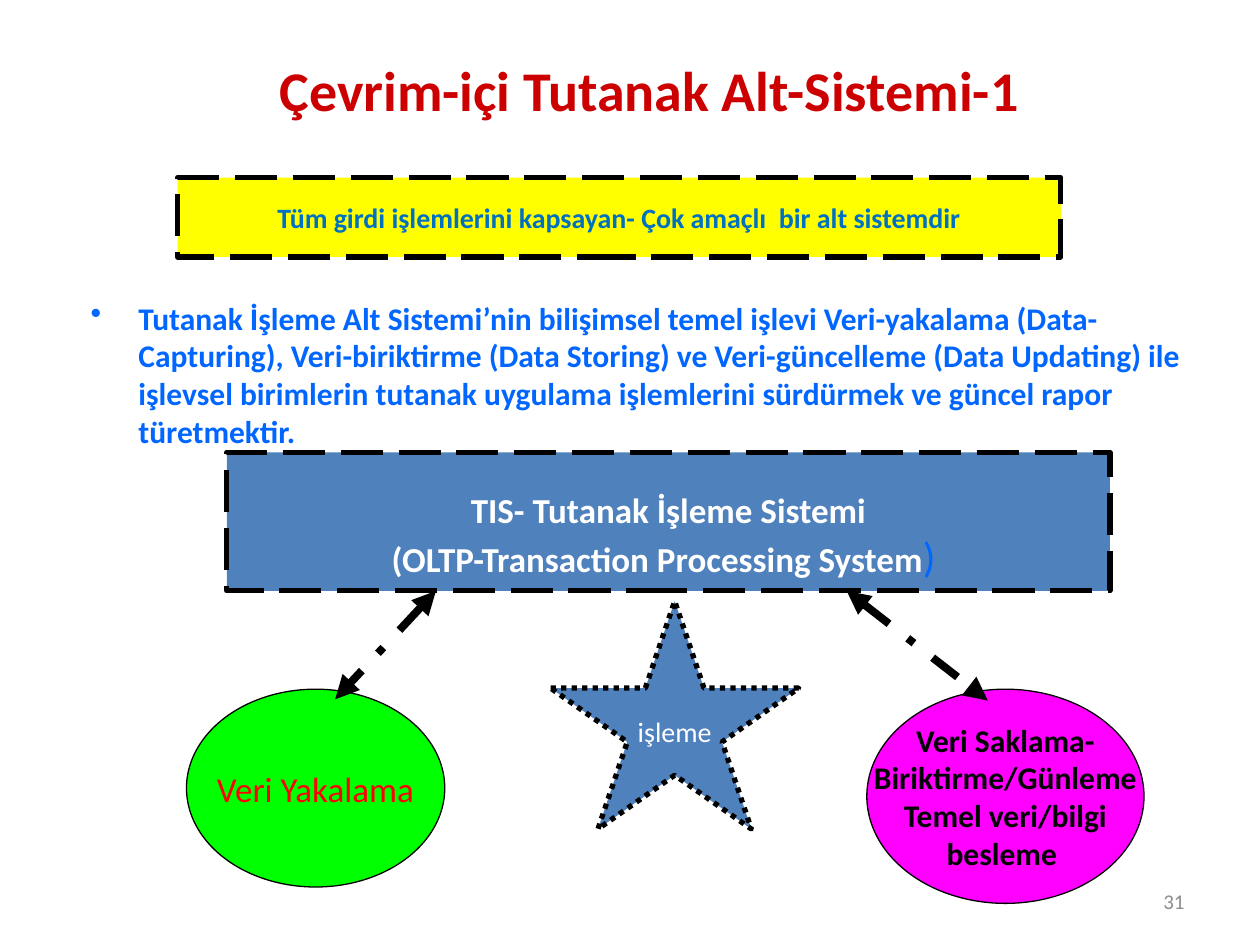
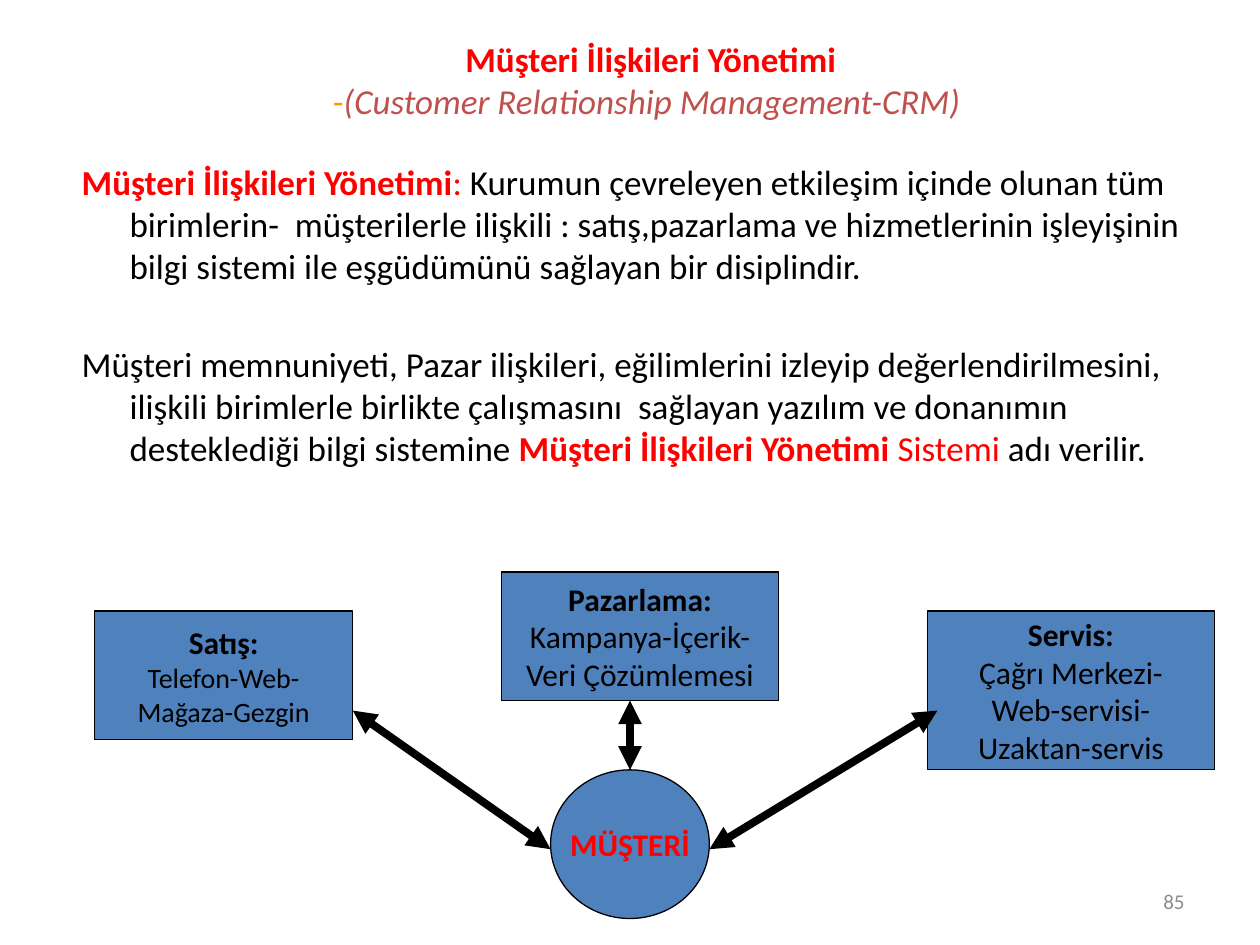
from dataclasses import dataclass

from pptx import Presentation
from pptx.dml.color import RGBColor
from pptx.enum.dml import MSO_LINE
from pptx.enum.shapes import MSO_CONNECTOR, MSO_SHAPE
from pptx.enum.text import MSO_ANCHOR, PP_ALIGN
from pptx.oxml.ns import qn
from pptx.util import Inches, Pt

COLUMNS, ROWS = 100, 75
CELL = Inches(0.1)
FONT = "Calibri"
BLACK, WHITE, RED, BLUE = "000000", "FFFFFF", "FF0000", "4F81BD"
BRIGHT_BLUE = "0066FF"
HANGING = Inches(0.38)


@dataclass
class Box:
    """An area of the slide, in grid columns and rows."""
    left: float
    top: float
    width: float
    height: float

    def inner(self, left, top, width, height):
        return Box(self.left + left, self.top + top, width, height)

    def point(self, column, row):
        return cells(self.left + column, self.top + row)

    def lengths(self):
        return cells(self.left, self.top, self.width, self.height)


def cells(*counts):
    return [round(count * CELL) for count in counts]


def color(hex_string):
    return RGBColor.from_string(hex_string)


def set_bullet(para, bullet, hanging):
    properties = para._p.get_or_add_pPr()
    properties.set("marL", str(hanging))
    properties.set("indent", str(-hanging))
    if bullet:
        mark = properties.makeelement(qn("a:buChar"), {"char": bullet})
    else:
        mark = properties.makeelement(qn("a:buNone"), {})
    properties.append(mark)


def write(shape, paras, align=PP_ALIGN.CENTER, anchor=MSO_ANCHOR.MIDDLE, wrap=True,
          bullet=None, hanging=0, gap=0, inset_top=None, **style):
    """Each paragraph is a string or a list of (text, style changes)."""
    frame = shape.text_frame
    frame.word_wrap = wrap
    frame.vertical_anchor = anchor
    if inset_top is not None:
        frame.margin_top = Inches(inset_top)
    for index, spans in enumerate(paras):
        para = frame.paragraphs[0] if index == 0 else frame.add_paragraph()
        para.alignment = align
        if index and gap:
            para.space_before = Pt(gap)
        if hanging:
            set_bullet(para, bullet, hanging)
        for text, changes in [(spans, {})] if isinstance(spans, str) else spans:
            add_span(para, text, **{**style, **changes})


def add_span(para, text, size=18, ink=BLACK, bold=False, italic=False):
    span = para.add_run()
    span.text = text
    font = span.font
    font.name, font.size = FONT, Pt(size)
    font.bold, font.italic = bold, italic
    font.color.rgb = color(ink)


def add_text(page, box, paras, **style):
    write(page.shapes.add_textbox(*box.lengths()), paras, **style)


def add_figure(page, box, paras, kind=MSO_SHAPE.RECTANGLE, fill=BLUE, line=0.75,
               dash=None, **style):
    figure = page.shapes.add_shape(kind, *box.lengths())
    figure.shadow.inherit = False
    figure.fill.solid()
    figure.fill.fore_color.rgb = color(fill)
    figure.line.color.rgb = color(BLACK)
    figure.line.width = Pt(line)
    if dash:
        figure.line.dash_style = dash
    write(figure, paras, wrap=False, **style)
    return figure


def add_arrow(page, start, end, dash=None):
    """A thick line with a head at both ends."""
    arrow = page.shapes.add_connector(MSO_CONNECTOR.STRAIGHT, *start, *end)
    arrow.line.color.rgb = color(BLACK)
    arrow.line.width = Pt(4.5)
    if dash:
        arrow.line.dash_style = dash
    properties = arrow._element.spPr
    outline = properties.find(qn("a:ln"))
    for tag in ("a:headEnd", "a:tailEnd"):
        outline.append(outline.makeelement(qn(tag), {"type": "triangle"}))
    properties.append(properties.makeelement(qn("a:effectLst"), {}))
    return arrow


def add_page(deck, number):
    page = deck.slides.add_slide(deck.slide_layouts[6])
    add_text(page, Box(71.7, 69.5, 23.3, 4), [number],
             align=PP_ALIGN.RIGHT, size=12, ink="8C8C8C")
    return page


def add_body(page, box, paras, **style):
    add_text(page, box, paras, align=PP_ALIGN.LEFT, anchor=MSO_ANCHOR.TOP,
             hanging=HANGING, inset_top=0.1, **style)


def draw_transaction_system(page, box):
    add_figure(page, box.inner(3.2, 0, 70.1, 11), [
        "TIS- Tutanak İşleme Sistemi",
        [("(OLTP-Transaction Processing System", {}),
         (") ", {"size": 24, "ink": BRIGHT_BLUE, "bold": False})],
    ], line=3, dash=MSO_LINE.LONG_DASH, inset_top=0.25, size=20, ink=WHITE, bold=True)
    add_figure(page, box.inner(0, 18.8, 20.5, 15.7), ["Veri Yakalama"],
               kind=MSO_SHAPE.OVAL, fill="00FF00", size=20, ink=RED)
    add_figure(page, box.inner(54, 18.8, 22, 17),
               ["Veri Saklama-", "Biriktirme/Günleme", "Temel veri/bilgi", "besleme "],
               kind=MSO_SHAPE.OVAL, fill="FF00FF", bold=True)
    for start, end in (((19.8, 11), (11.8, 19.6)), ((52.4, 11), (63.6, 19.7))):
        add_arrow(page, box.point(*start), box.point(*end), dash=MSO_LINE.DASH_DOT)
    add_figure(page, box.inner(28.9, 11.8, 19.7, 18.1), ["işleme"],
               kind=MSO_SHAPE.STAR_5_POINT, line=3, dash=MSO_LINE.ROUND_DOT,
               size=16, ink=WHITE)


def draw_customer_links(page, box):
    customer = add_figure(page, box.inner(36.2, 15.7, 12.6, 11.8), ["MÜŞTERİ"],
                          kind=MSO_SHAPE.OVAL, ink=RED, bold=True)
    departments = (
        ((0, 3.1, 20.5, 10.2), 16, "Satış:", ["Telefon-Web-", "Mağaza-Gezgin"]),
        ((32.3, 0, 22, 10.2), 18, "Pazarlama:", ["Kampanya-İçerik-", "Veri Çözümlemesi"]),
        ((66.1, 3.1, 22.8, 12.6), 18, "Servis:",
         ["Çağrı Merkezi-", "Web-servisi-", "Uzaktan-servis"]),
    )
    for place, size, name, channels in departments:
        heading = [(name, {"size": 18, "bold": True})]
        add_figure(page, box.inner(*place), [heading, *channels], size=size)
    add_arrow(page, box.point(20.5, 11), box.point(36.2, 22))
    add_arrow(page, box.point(48.8, 22), box.point(66.9, 11))
    middle = add_arrow(page, box.point(42.5, 10.2), box.point(42.5, 15.7))
    middle.end_connect(customer, 0)


def build_transaction_page(deck):
    page = add_page(deck, "31")
    add_text(page, Box(9.4, 3.9, 84.3, 6.4), ["Çevrim-içi Tutanak Alt-Sistemi-1"],
             size=32, ink="CC0000", bold=True)
    add_figure(page, Box(14.1, 14.1, 70.1, 6.3),
               ["Tüm girdi işlemlerini kapsayan- Çok amaçlı  bir alt sistemdir"],
               fill="FFFF00", line=3, dash=MSO_LINE.LONG_DASH,
               size=16, ink="0070C0", bold=True)
    add_body(page, Box(6.2, 22.7, 89.2, 52.3), [
        "Tutanak İşleme Alt Sistemi’nin bilişimsel temel işlevi Veri-yakalama "
        "(Data-Capturing), Veri-biriktirme (Data Storing) ve Veri-güncelleme "
        "(Data Updating) ile işlevsel birimlerin tutanak uygulama işlemlerini "
        "sürdürmek ve güncel rapor türetmektir.",
    ], bullet="•", ink=BRIGHT_BLUE, bold=True)
    draw_transaction_system(page, Box(14.8, 35.9, 76, 35.8))


def build_customer_page(deck):
    page = add_page(deck, "85")
    term = "Müşteri İlişkileri Yönetimi"
    key = {"ink": RED, "bold": True}
    add_text(page, Box(7.8, 1.6, 87.7, 9.4), [
        [(term, key)],
        [("-", {"ink": "FF9900"}),
         ("(Customer Relationship Management-CRM) ", {"ink": "C0504D", "italic": True})],
    ], size=20)
    add_body(page, Box(5.5, 11.7, 90, 58.8), [
        [(term, key), (": ", {"ink": RED}),
         ("Kurumun çevreleyen etkileşim içinde olunan tüm birimlerin-  müşterilerle "
          "ilişkili : satış,pazarlama ve hizmetlerinin işleyişinin bilgi sistemi ile "
          "eşgüdümünü sağlayan bir disiplindir.", {})],
        [("Müşteri memnuniyeti, Pazar ilişkileri, eğilimlerini izleyip "
          "değerlendirilmesini, ilişkili birimlerle birlikte çalışmasını  sağlayan "
          "yazılım ve donanımın desteklediği bilgi sistemine ", {}),
         (term, key), (" Sistemi ", {"ink": RED}), ("adı verilir.", {})],
    ], gap=32, size=20)
    draw_customer_links(page, Box(7.5, 45.4, 88.9, 27.5))


def main():
    deck = Presentation()
    deck.slide_width, deck.slide_height = cells(COLUMNS, ROWS)
    build_transaction_page(deck)
    build_customer_page(deck)
    deck.save("out.pptx")


if __name__ == "__main__":
    main()
